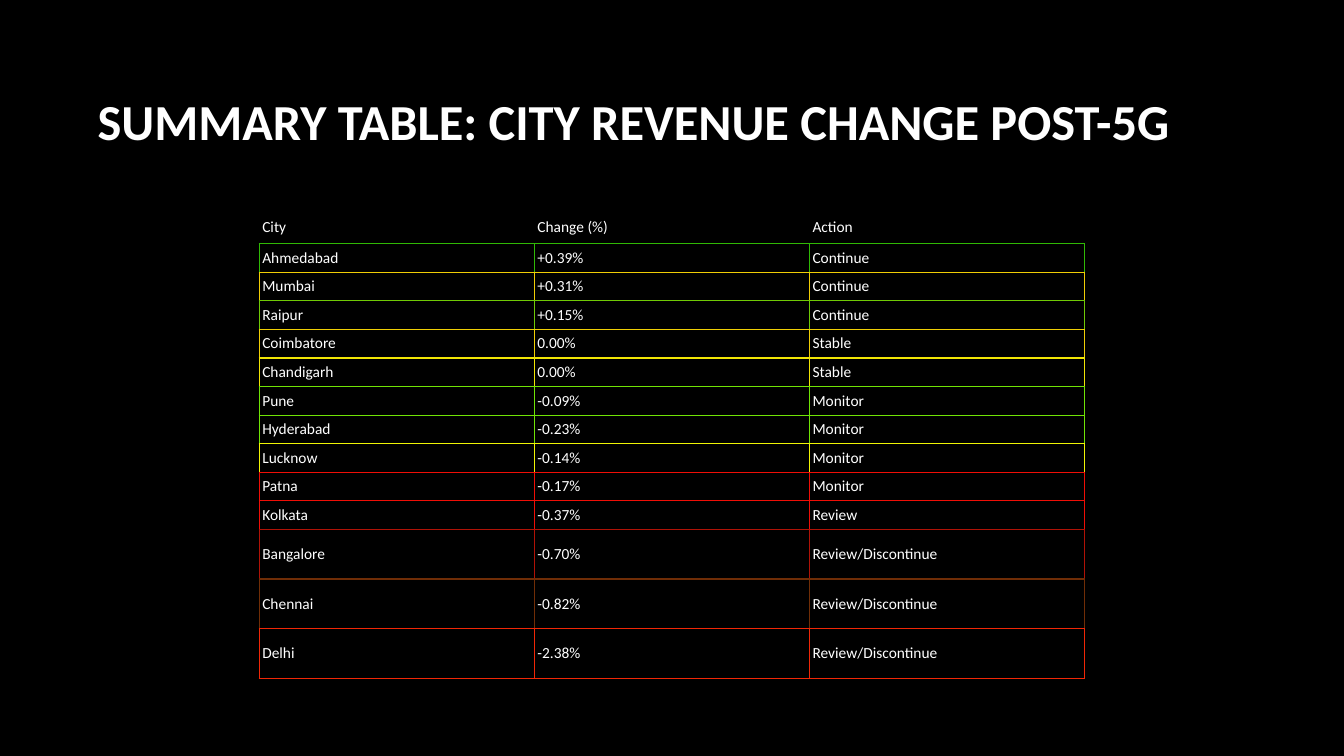
from lxml import etree
from pptx import Presentation
from pptx.dml.color import RGBColor
from pptx.enum.text import MSO_ANCHOR, MSO_AUTO_SIZE, PP_ALIGN
from pptx.oxml.ns import qn
from pptx.util import Cm, Pt

TOP, MIDDLE = MSO_ANCHOR.TOP, MSO_ANCHOR.MIDDLE
LEFT, CENTER = PP_ALIGN.LEFT, PP_ALIGN.CENTER
NO_FIT = MSO_AUTO_SIZE.NONE
BLACK = RGBColor(0x00, 0x00, 0x00)
WHITE = RGBColor(0xFF, 0xFF, 0xFF)
GREEN = RGBColor(0x30, 0xB9, 0x05)
AMBER = RGBColor(0xF0, 0xCD, 0x05)
LEAF = RGBColor(0x70, 0xC9, 0x05)
GOLD = RGBColor(0xF0, 0xCF, 0x05)
YELLOW = RGBColor(0xF0, 0xE5, 0x05)
LIME = RGBColor(0x70, 0xE2, 0x05)
FRESH = RGBColor(0x70, 0xE3, 0x05)
LEMON = RGBColor(0xF0, 0xF5, 0x05)
RED = RGBColor(0xF0, 0x0E, 0x06)
CRIMSON = RGBColor(0xB0, 0x12, 0x06)
BROWN = RGBColor(0x70, 0x2D, 0x06)
SCARLET = RGBColor(0xF0, 0x27, 0x06)
FONT = "Calibri"
PLAIN = "{2D5ABB26-0587-4C30-8999-92F81FD0307C}"

HEAD = ("City", "Change (%)", "Action")
CITIES = [
    ("Ahmedabad", "+0.39%", "Continue", GREEN),
    ("Mumbai", "+0.31%", "Continue", AMBER),
    ("Raipur", "+0.15%", "Continue", LEAF),
    ("Coimbatore", "0.00%", "Stable", GOLD),
    ("Chandigarh", "0.00%", "Stable", YELLOW),
    ("Pune", "-0.09%", "Monitor", LIME),
    ("Hyderabad", "-0.23%", "Monitor", FRESH),
    ("Lucknow", "-0.14%", "Monitor", LEMON),
    ("Patna", "-0.17%", "Monitor", RED),
    ("Kolkata", "-0.37%", "Review", RED),
    ("Bangalore", "-0.70%", "Review/Discontinue", CRIMSON),
    ("Chennai", "-0.82%", "Review/Discontinue", BROWN),
    ("Delhi", "-2.38%", "Review/Discontinue", SCARLET),
]


def write(frame, text, size=11, bold=False, align=LEFT):
    para = frame.paragraphs[0]
    para.alignment = align
    run = para.add_run()
    run.text = text
    font = run.font
    font.name, font.size, font.bold = FONT, Pt(size), bold
    font.color.rgb = WHITE


def edge(cell, sides):
    props = cell._tc.get_or_add_tcPr()
    for side in "LRTB":
        if side in sides:
            line = etree.SubElement(props, qn("a:ln" + side), w=str(Pt(1)))
            fill = etree.SubElement(line, qn("a:solidFill"))
            etree.SubElement(fill, qn("a:srgbClr"), val=str(sides[side]))


def add_title(slide, left, top, width, height):
    title = slide.shapes.title
    title.left, title.top, title.width, title.height = left, top, width, height
    frame = title.text_frame
    frame.auto_size = NO_FIT
    frame.word_wrap = True
    frame.vertical_anchor = MIDDLE
    frame.margin_bottom = Cm(1.5)
    write(frame, "SUMMARY TABLE: CITY REVENUE CHANGE POST-5G",
          size=36, bold=True, align=CENTER)


def add_cities(slide, left, top, width, height):
    rows = [(HEAD, {"B": CITIES[0][-1]})]
    for i, (*texts, tone) in enumerate(CITIES):
        below = CITIES[min(i + 1, len(CITIES) - 1)][-1]
        rows.append((texts, {"L": tone, "R": tone, "T": tone, "B": below}))
    table = slide.shapes.add_table(
        len(rows), len(HEAD), left, top, width, height).table
    table.first_row = table.horz_banding = False
    table._tbl.tblPr.find(qn("a:tableStyleId")).text = PLAIN
    for col in table.columns:
        col.width = width // len(HEAD)
    for r, (texts, sides) in enumerate(rows):
        tall = texts[-1] == "Review/Discontinue"
        table.rows[r].height = Cm(1.25 if tall else 0.72 if r else 0.73)
        for c, text in enumerate(texts):
            cell = table.cell(r, c)
            cell.margin_left = cell.margin_right = Cm(0.08)
            cell.margin_top = cell.margin_bottom = Cm(0.08)
            cell.vertical_anchor = MIDDLE if r else TOP
            edge(cell, sides)
            cell.fill.background()
            write(cell.text_frame, text)


def main():
    deck = Presentation()
    deck.slide_width, deck.slide_height = Cm(33.87), Cm(19.05)
    slide = deck.slides.add_slide(deck.slide_layouts[5])
    back = slide.background.fill
    back.solid()
    back.fore_color.rgb = BLACK
    add_title(slide, Cm(1.9), Cm(1.7), Cm(28.15), Cm(4.04))
    add_cities(slide, Cm(6.53), Cm(5.41), Cm(20.8), Cm(11.68))
    deck.save("out.pptx")


if __name__ == "__main__":
    main()
